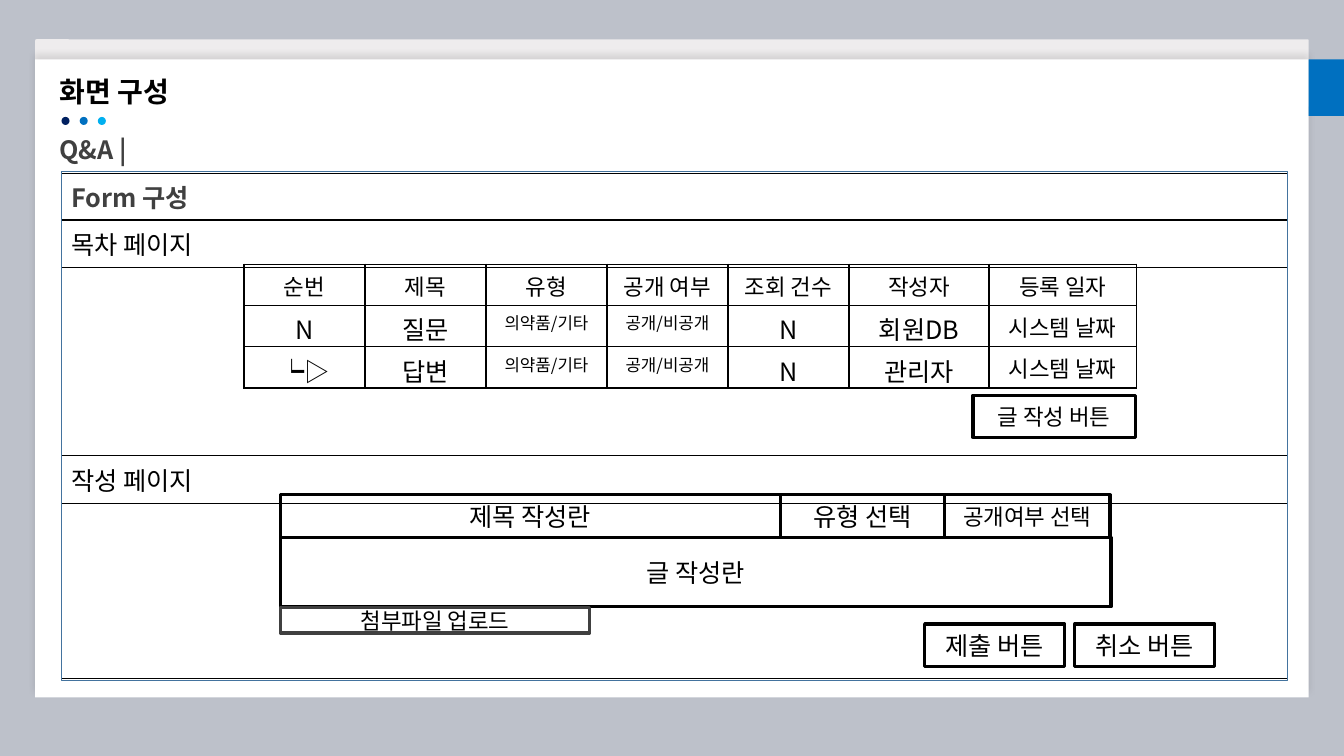
from lxml import etree
from pptx import Presentation
from pptx.dml.color import RGBColor
from pptx.enum.shapes import MSO_SHAPE
from pptx.enum.text import MSO_ANCHOR, PP_ALIGN
from pptx.oxml.ns import qn
from pptx.util import Inches, Pt

RECT, ROUND, OVAL = MSO_SHAPE.RECTANGLE, MSO_SHAPE.ROUNDED_RECTANGLE, MSO_SHAPE.OVAL
LEFT, MID = PP_ALIGN.LEFT, PP_ALIGN.CENTER
TOP, MIDDLE, BOTTOM = MSO_ANCHOR.TOP, MSO_ANCHOR.MIDDLE, MSO_ANCHOR.BOTTOM

BLACK = RGBColor(0x00, 0x00, 0x00)
WHITE = RGBColor(0xFF, 0xFF, 0xFF)
GRAY = RGBColor(0x40, 0x40, 0x40)
BACK = RGBColor(0xBD, 0xC1, 0xCA)
STRIP = RGBColor(0xEE, 0xEC, 0xED)
NAVY = RGBColor(0x00, 0x20, 0x60)
BLUE = RGBColor(0x00, 0x70, 0xC0)
SKY = RGBColor(0x00, 0xB0, 0xF0)
STEEL = RGBColor(0x43, 0x73, 0x9E)
FONT = "Noto Sans CJK KR"
PLAIN = "{2D5ABB26-0587-4C30-8999-92F81FD0307C}"


def write(frame, text, size=18, color=BLACK, bold=False, align=MID):
    para = frame.paragraphs[0]
    para.alignment = align
    run = para.add_run()
    run.text = text
    font = run.font
    font.size, font.bold, font.name = Pt(size), bold, FONT
    font.color.rgb = color
    etree.SubElement(run._r.get_or_add_rPr(), qn("a:ea")).set("typeface", FONT)


class Page:
    def __init__(self, deck):
        self.slide = deck.slides.add_slide(deck.slide_layouts[5])
        self.shapes = self.slide.shapes
        fill = self.slide.background.fill
        fill.solid()
        fill.fore_color.rgb = BACK

    def shape(self, kind, box, fill=None, line=None, width=2.25):
        item = self.shapes.add_shape(kind, *map(Inches, box))
        item.shadow.inherit = False
        if fill is None:
            item.fill.background()
        else:
            item.fill.solid()
            item.fill.fore_color.rgb = fill
        if line is None:
            item.line.fill.background()
        else:
            item.line.color.rgb = line
            item.line.width = Pt(width)
        return item

    def shade(self, item):
        glow = etree.SubElement(
            item._element.spPr.find(qn("a:effectLst")), qn("a:outerShdw"),
            blurRad=str(Pt(4)), dist=str(Pt(3)), dir="16200000", rotWithShape="0")
        tint = etree.SubElement(glow, qn("a:srgbClr"), val=str(BLACK))
        etree.SubElement(tint, qn("a:alpha"), val="10000")

    def field(self, text, box, size=18, line=BLACK):
        frame = self.shape(RECT, box, line=line).text_frame
        frame.word_wrap = True
        frame.vertical_anchor = MIDDLE
        write(frame, text, size)

    def title(self, text, box):
        item = self.shapes.title
        self.shapes._spTree.append(item._element)
        item.left, item.top, item.width, item.height = map(Inches, box)
        item.text_frame.word_wrap = False
        item.text_frame.vertical_anchor = TOP
        write(item.text_frame, text, size=20, bold=True, align=LEFT)

    def label(self, text, box):
        frame = self.shapes.add_textbox(*map(Inches, box)).text_frame
        frame.word_wrap = False
        frame.vertical_anchor = BOTTOM
        write(frame, text, color=GRAY, bold=True, align=LEFT)

    def table(self, left, top, cols, rows):
        box = left, top, sum(cols), sum(rows)
        item = self.shapes.add_table(len(rows), len(cols), *map(Inches, box))
        grid = item.table
        grid.first_row = grid.horz_banding = False
        grid._tbl.tblPr.find(qn("a:tableStyleId")).text = PLAIN
        for col, size in zip(grid.columns, cols):
            col.width = Inches(size)
        for row, size in zip(grid.rows, rows):
            row.height = Inches(size)
        for cell in grid.iter_cells():
            cell.fill.background()
        return grid

    def border(self, cell, sides):
        props = cell._tc.get_or_add_tcPr()
        for spot, side in enumerate(sides):
            line = etree.Element(qn("a:ln" + side), w=str(Pt(1)))
            fill = etree.SubElement(line, qn("a:solidFill"))
            etree.SubElement(fill, qn("a:srgbClr"), val=str(BLACK))
            props.insert(spot, line)


def main():
    deck = Presentation()
    deck.slide_width, deck.slide_height = Inches(13.33), Inches(7.5)
    page = Page(deck)

    strip = page.shape(ROUND, (0.35, 0.39, 12.63, 0.67), STRIP)
    strip.adjustments[0] = 0.015
    page.shade(page.shape(RECT, (0.35, 0.59, 12.63, 6.33), WHITE))

    form = page.table(0.61, 1.72, [12.16], [0.46, 0.47, 1.87, 0.47, 1.74])
    heads = ["Form 구성", "목차 페이지", "", "작성 페이지", ""]
    for row, text in enumerate(heads):
        cell = form.cell(row, 0)
        if text:
            top = row == 0
            write(cell.text_frame, text, color=GRAY if top else BLACK,
                  bold=top, align=LEFT)
        page.border(cell, "TB")

    page.title("화면 구성", (0.49, 0.69, 1.42, 0.44))
    for spot, color in enumerate((NAVY, BLUE, SKY)):
        page.shape(OVAL, (0.61 + 0.18 * spot, 1.16, 0.08, 0.08), color)
    page.label("Q&A |", (0.49, 1.28, 0.95, 0.4))
    page.shape(RECT, (12.98, 0.59, 0.35, 0.56), BLUE)

    posts = [
        ["순번", "제목", "유형", "공개 여부", "조회 건수", "작성자", "등록 일자"],
        ["N", "질문", "의약품/기타", "공개/비공개", "N", "회원DB", "시스템 날짜"],
        ["┕▷", "답변", "의약품/기타", "공개/비공개", "N", "관리자", "시스템 날짜"],
    ]
    sizes = [18, 18, 12, 12, 18, 18, 16]
    board = page.table(2.42, 2.62, [1.2] * 5 + [1.39, 1.46], [0.41] * 3)
    for row, texts in enumerate(posts):
        for col, text in enumerate(texts):
            cell = board.cell(row, col)
            cell.margin_bottom = Inches(0)
            write(cell.text_frame, text, sizes[col] if row else 16)
            page.border(cell, "LRTB")

    page.field("글 작성 버튼", (9.65, 3.92, 1.61, 0.42), 16)
    page.shape(RECT, (0.61, 1.7, 12.16, 5.05), line=STEEL, width=1)
    page.field("제출 버튼", (9.17, 6.19, 1.39, 0.42))
    page.field("취소 버튼", (10.66, 6.19, 1.39, 0.42))
    page.field("글 작성란", (2.78, 5.33, 8.24, 0.69))
    page.field("유형 선택", (7.74, 4.91, 1.63, 0.42))
    page.field("공개여부 선택", (9.37, 4.91, 1.64, 0.42), 16)
    page.field("제목 작성란", (2.78, 4.91, 4.96, 0.42))
    page.field("첨부파일 업로드", (2.78, 6.03, 3.07, 0.25), 16, GRAY)

    deck.save("out.pptx")


if __name__ == "__main__":
    main()
